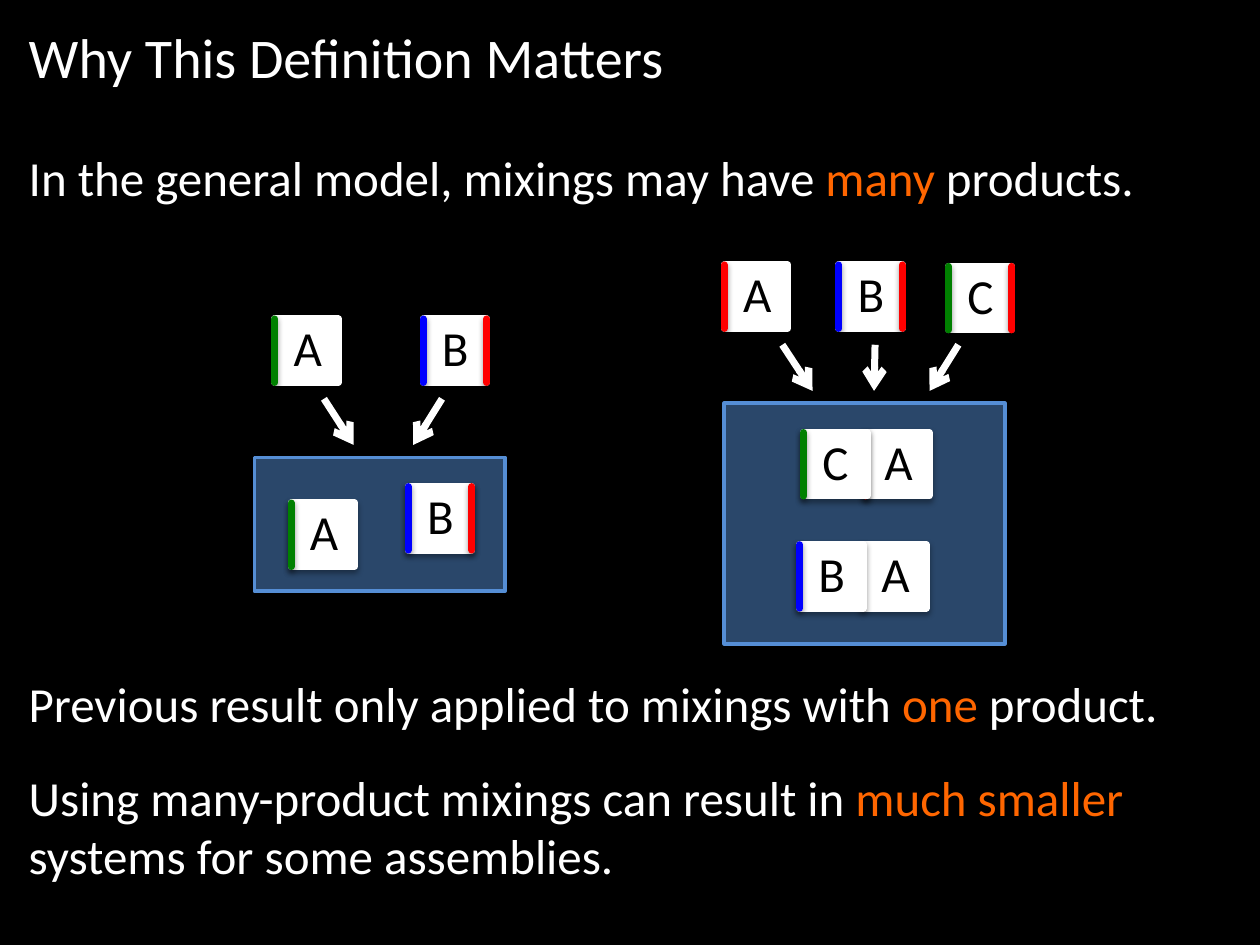
from lxml.etree import SubElement
from pptx import Presentation
from pptx.dml.color import RGBColor
from pptx.enum.shapes import MSO_CONNECTOR, MSO_SHAPE
from pptx.enum.text import MSO_AUTO_SIZE
from pptx.oxml.ns import qn
from pptx.util import Cm, Pt

COLORS = {
    "black": "000000", "white": "FFFFFF", "accent": "FF6600", "well": "558ED5",
    "red": "FF0000", "green": "008000", "blue": "0000FF",
}
FONT = "Calibri"
TILE = 1.28
LETTER_WIDTHS = {"A": 1.78, "B": 1.14, "C": 1.14}
WELL_DROP = 2.79
ARROW_TOP, ARROW_BOTTOM = 1.61, 2.54

TWO_TILE_MIXING = {
    "inputs": [(3.4, 0, "B", "blue", "red"), (0.41, 0, "A", "green", None)],
    "arrows": [(1.4, 2.0), (3.78, 3.2)],
    "products": [(3.1, 3.38, "B", "blue", "red"), (0.74, 3.71, "A", "green", None)],
}
THREE_TILE_MIXING = {
    "inputs": [(2.31, 0, "B", "blue", "red"), (0, 0, "A", "red", None),
               (4.52, 0.03, "C", "green", "red")],
    "arrows": [(1.17, 1.78), (4.72, 4.14), (3.04, 3.02)],
    "products": [(2.85, 3.38, "A", "red", None), (1.6, 3.38, "C", "green", None),
                 (2.79, 5.64, "A", None, None), (1.52, 5.64, "B", "blue", None)],
}


def rgb(name):
    return RGBColor.from_string(COLORS[name])


def add_shadow(shape, distance, opacity):
    effects = SubElement(shape._element.spPr, qn("a:effectLst"))
    shadow = SubElement(effects, qn("a:outerShdw"), blurRad="40000",
                        dist=str(distance), dir="5400000", rotWithShape="0")
    color = SubElement(shadow, qn("a:srgbClr"), val=COLORS["black"])
    SubElement(color, qn("a:alpha"), val=str(opacity * 1000))


def add_text(slide, left, top, width, height, size, pieces):
    box = slide.shapes.add_textbox(Cm(left), Cm(top), Cm(width), Cm(height))
    frame = box.text_frame
    frame.word_wrap = True
    frame.auto_size = MSO_AUTO_SIZE.SHAPE_TO_FIT_TEXT
    paragraph = frame.paragraphs[0]
    paragraph.font.name = FONT
    paragraph.font.size = Pt(size)
    for wording, color in pieces:
        run = paragraph.add_run()
        run.text = wording
        run.font.color.rgb = rgb(color)


def add_box(slide, left, top, width, height, color, line_width):
    box = slide.shapes.add_shape(MSO_SHAPE.RECTANGLE, Cm(left), Cm(top), Cm(width), Cm(height))
    box.fill.solid()
    box.fill.fore_color.rgb = rgb(color)
    box.line.color.rgb = rgb(color)
    box.line.width = Pt(line_width)
    add_shadow(box, 23000, 35)
    return box


def add_line(slide, start, end, color):
    line = slide.shapes.add_connector(MSO_CONNECTOR.STRAIGHT, *map(Cm, start + end))
    line.line.color.rgb = rgb(color)
    line.line.width = Pt(4)
    add_shadow(line, 20000, 38)
    return line.line._get_or_add_ln()


def add_tile(slide, left, top, letter, left_glue, right_glue):
    add_box(slide, left, top, TILE, TILE, "white", 4)
    for x, glue in ((left + TILE, right_glue), (left, left_glue)):
        if glue:
            edge = add_line(slide, (x, top + TILE), (x, top), glue)
            edge.set("cap", "rnd")
    add_text(slide, left + 0.13, top - 0.15, LETTER_WIDTHS[letter], 1.45, 28,
             [(letter, "black")])


def add_mixing(slide, left, top, width, height, mixing):
    for dx, dy, *tile in mixing["inputs"]:
        add_tile(slide, left + dx, top + dy, *tile)
    well = add_box(slide, left, top + WELL_DROP, width, height - WELL_DROP, "well", 2)
    well_color = well._element.spPr.find(qn("a:solidFill"))[0]
    SubElement(well_color, qn("a:alpha"), val="50000")
    for start, end in mixing["arrows"]:
        arrow = add_line(slide, (left + start, top + ARROW_TOP),
                         (left + end, top + ARROW_BOTTOM), "white")
        SubElement(arrow, qn("a:tailEnd"), type="arrow")
    for dx, dy, *tile in mixing["products"]:
        add_tile(slide, left + dx, top + dy, *tile)


def add_statements(slide, left):
    add_text(slide, left, 0.33, 22.83, 1.63, 32, [("Why This Definition Matters", "white")])
    add_text(slide, left, 2.84, 25.07, 1.45, 28, [
        ("In the general model, mixings may have ", "white"),
        ("many", "accent"), (" products.", "white")])
    add_text(slide, left, 13.46, 24.61, 1.45, 28, [
        ("Previous result only applied to mixings with ", "white"),
        ("one", "accent"), (" product.", "white")])
    add_text(slide, left, 15.34, 24.61, 2.64, 28, [
        ("Using many-product mixings can result in ", "white"),
        ("much smaller ", "accent"), ("systems for some assemblies.", "white")])


def main():
    presentation = Presentation()
    presentation.slide_width = Cm(25.4)
    presentation.slide_height = Cm(19.05)
    slide = presentation.slides.add_slide(presentation.slide_layouts[6])
    slide.background.fill.solid()
    slide.background.fill.fore_color.rgb = rgb("black")
    add_statements(slide, 0.33)
    add_mixing(slide, 5.13, 6.43, 5.05, 5.49, TWO_TILE_MIXING)
    add_mixing(slide, 14.6, 5.34, 5.66, 7.64, THREE_TILE_MIXING)
    presentation.save("out.pptx")


if __name__ == "__main__":
    main()
